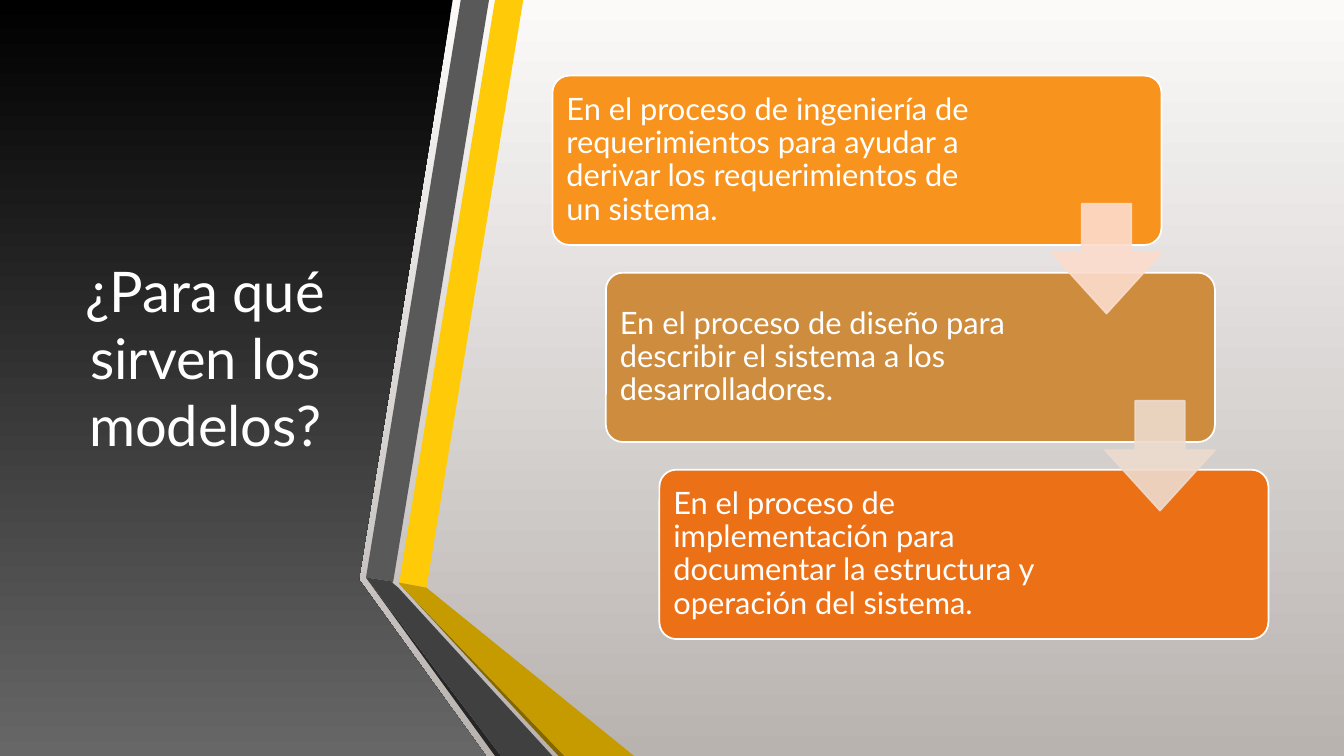
from dataclasses import dataclass

from lxml.etree import SubElement
from pptx import Presentation
from pptx.dml.color import RGBColor
from pptx.enum.shapes import MSO_SHAPE as Preset
from pptx.enum.text import MSO_ANCHOR as Anchor, MSO_AUTO_SIZE as AutoSize, PP_ALIGN as Align
from pptx.oxml.ns import qn
from pptx.util import Inches, Pt


@dataclass(frozen=True)
class Theme:
    font: str = "Lato"
    title_size: int = 40
    step_size: int = 22
    outline: float = 1.25
    white: str = "FFFFFF"
    backdrop: tuple = ("FBFAF9", "B9B3B0")
    panel: tuple = ("000000", "676767")
    steps: tuple = ("F8931D", "CE8D3E", "EC7016")
    arrows: tuple = ("FCDCCD", "EDDBCE")
    arrow_opacity: int = 90


THEME = Theme()

STEPS = (
    "En el proceso de ingeniería de requerimientos para ayudar a derivar "
    "los requerimientos de un sistema.",
    "En el proceso de diseño para describir el sistema a los desarrolladores.",
    "En el proceso de implementación para documentar la estructura y "
    "operación del sistema.",
)

# Ribbon outlines, measured from the left edge of the ribbon box
RIBBONS = (
    ("FFCA08", ((0.33, 5.78), (0.6, 5.83), (1.56, 0), (1.28, 0))),
    ("595959", ((1.22, 0), (0.94, 0), (0, 5.73), (0.27, 5.77))),
    ("262626", ((0, 5.73), (1.28, 7.5), (1.34, 7.5))),
    ("846700", ((0.33, 5.79), (1.91, 7.5), (1.97, 7.5))),
    ("C59B00", ((0.33, 5.79), (1.97, 7.5), (2.66, 7.5), (0.6, 5.83), (0.33, 5.78))),
    ("404040", ((1.85, 7.5), (0.32, 5.83), (0.26, 5.78), (0.27, 5.77),
                (0, 5.73), (1.34, 7.5))),
)
PANEL = ((0, 0), (4.49, 0), (3.56, 5.75), (4.82, 7.5), (0, 7.5))


def rgb(color):
    return RGBColor.from_string(color)


def fill_gradient(fill, colors):
    """Blend two colours from top to bottom."""
    fill.gradient()
    fill.gradient_angle = 270
    for stop, color in zip(fill.gradient_stops, colors):
        stop.color.rgb = rgb(color)


def fill_solid(fill, color, opacity=100):
    fill.solid()
    fill.fore_color.rgb = rgb(color)
    if opacity < 100:
        tint = fill._xPr.find(f"{qn('a:solidFill')}/{qn('a:srgbClr')}")
        SubElement(tint, qn("a:alpha"), val=str(opacity * 1000))


def style_text(para, size):
    para.font.name = THEME.font
    para.font.size = Pt(size)
    para.font.color.rgb = rgb(THEME.white)


def add_outline(page, left, top, points):
    corners = [(Inches(left + x), Inches(top + y)) for x, y in points]
    builder = page.shapes.build_freeform(*corners[0])
    builder.add_line_segments(corners[1:], close=True)
    shape = builder.convert_to_shape()
    shape.shadow.inherit = False
    shape.line.fill.background()
    return shape


def add_preset(page, preset, box, adjustments, color, line_color, opacity=100):
    shape = page.shapes.add_shape(preset, *map(Inches, box))
    for index, value in enumerate(adjustments):
        shape.adjustments[index] = value
    shape.shadow.inherit = False
    fill_solid(shape.fill, color, opacity)
    fill_solid(shape.line.fill, line_color, opacity)
    shape.line.width = Pt(THEME.outline)
    return shape


def add_title_panel(page, left, top):
    """Dark panel with the slide title."""
    panel = add_outline(page, left, top, PANEL)
    fill_gradient(panel.fill, THEME.panel)

    title = page.shapes.title
    title.left, title.top = Inches(left + 0.59), Inches(top + 0.75)
    title.width, title.height = Inches(2.89), Inches(5.58)
    page.shapes._spTree.append(title._element)  # bring in front of the panel
    frame = title.text_frame
    frame.text = "¿Para qué sirven los modelos?"
    frame.word_wrap = True
    frame.auto_size = AutoSize.NONE
    frame.vertical_anchor = Anchor.MIDDLE
    para = frame.paragraphs[0]
    para.alignment = Align.CENTER
    style_text(para, THEME.title_size)


def add_ribbons(page, left, top):
    """Folded ribbons along the edge of the panel."""
    for color, points in RIBBONS:
        ribbon = add_outline(page, left, top, points)
        fill_solid(ribbon.fill, color)


def add_staircase(page, left, top, width, height):
    """Descending steps, each linked to the next by an arrow."""
    step_width, step_height, arrow_size = 6.04, 1.68, 1.09
    gaps = len(STEPS) - 1
    shift = (width - step_width) / gaps
    drop = (height - step_height) / gaps

    # Steps
    for index, (text, color) in enumerate(zip(STEPS, THEME.steps)):
        box = (left + index * shift, top + index * drop, step_width, step_height)
        step = add_preset(page, Preset.ROUNDED_RECTANGLE, box, [0.1], color, THEME.white)
        frame = step.text_frame
        frame.text = text
        frame.word_wrap = True
        frame.vertical_anchor = Anchor.MIDDLE
        frame.margin_left = frame.margin_top = frame.margin_bottom = Inches(0.09)
        frame.margin_right = Inches(1.75)
        para = frame.paragraphs[0]
        para.alignment = Align.LEFT
        para.line_spacing = 0.9
        style_text(para, THEME.step_size)

    # Arrows, flush with the right edge of the step above
    for index, color in enumerate(THEME.arrows):
        box = (left + index * shift + step_width - arrow_size,
               top + index * drop + 1.27, arrow_size, arrow_size)
        add_preset(page, Preset.DOWN_ARROW, box, [0.45, 0.55], color, color,
                   THEME.arrow_opacity)


def build_slide(deck):
    page = deck.slides.add_slide(deck.slide_layouts[5])
    fill_gradient(page.background.fill, THEME.backdrop)
    add_title_panel(page, 0, 0)
    add_ribbons(page, 3.63, 0)
    add_staircase(page, 5.48, 0.75, 7.1, 5.59)


deck = Presentation()
deck.slide_width, deck.slide_height = Inches(13.33), Inches(7.5)
build_slide(deck)
deck.save("out.pptx")
